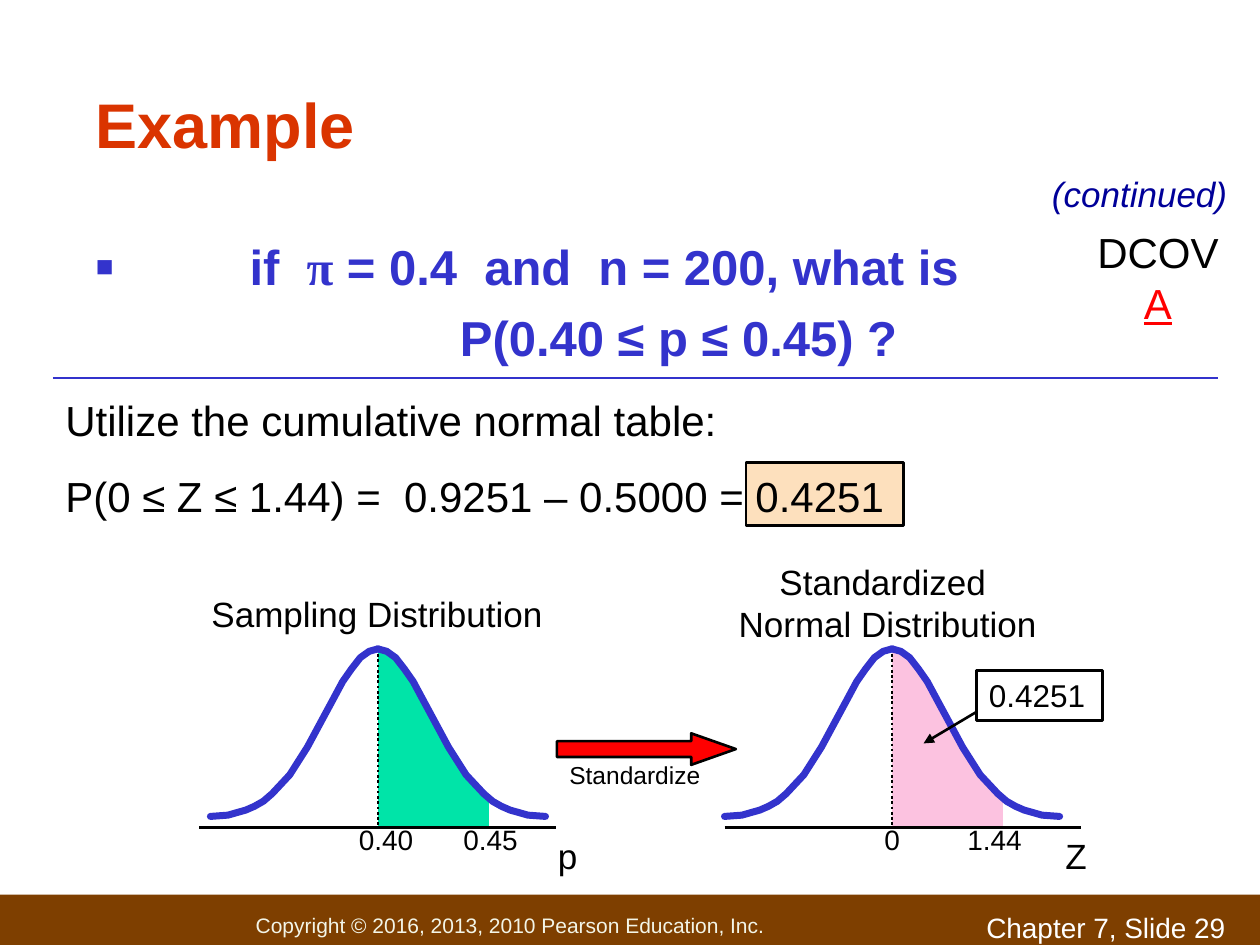
"""Build the slide that standardizes a sampling distribution of a proportion."""
from lxml import etree
from pptx import Presentation
from pptx.dml.color import RGBColor
from pptx.enum.dml import MSO_LINE
from pptx.enum.shapes import MSO_CONNECTOR, MSO_SHAPE
from pptx.enum.text import MSO_ANCHOR, MSO_AUTO_SIZE, PP_ALIGN
from pptx.oxml.ns import qn
from pptx.util import Inches, Pt

COLORS = {
    "black": "000000", "white": "FFFFFF", "cream": "F3F5E7", "brown": "7E3F00",
    "title": "DA3400", "blue": "3333CC", "navy": "000099", "red": "FF0000",
    "peach": "FDE0BD", "pink": "FCC2E0", "green": "00E4A8",
}
RGB = {name: RGBColor.from_string(value) for name, value in COLORS.items()}


def write(p, text, size=20, color="black", font="Arial", bold=False,
          italic=False, underline=False):
    r = p.add_run()
    r.text = text
    f = r.font
    f.size, f.name, f.color.rgb = Pt(size), font, RGB[color]
    f.bold, f.italic, f.underline = bold, italic, underline


def add_line(x1, y1, x2, y2, color="black", dash=None, arrow=False):
    line = shapes.add_connector(MSO_CONNECTOR.STRAIGHT, Inches(x1), Inches(y1),
                                Inches(x2), Inches(y2))
    line.line.color.rgb = RGB[color]
    line.line.width = Pt(1.5)
    if dash:
        line.line.dash_style = dash
    sp_pr = line._element.spPr
    if arrow:
        etree.SubElement(sp_pr.find(qn("a:ln")), qn("a:tailEnd"), type="triangle")
    etree.SubElement(sp_pr, qn("a:effectLst"))


prs = Presentation()
prs.slide_width, prs.slide_height = Inches(10), Inches(7.5)
s = prs.slides.add_slide(prs.slide_layouts[1])
shapes = s.shapes

title, body = shapes.title, s.placeholders[1]
for sp, box in ((title, (0.67, 0.25, 8.67, 1.08)), (body, (0.67, 1.83, 8.83, 1.74))):
    sp.left, sp.top, sp.width, sp.height = map(Inches, box)
    tf = sp.text_frame
    tf.auto_size = MSO_AUTO_SIZE.NONE
    tf.margin_left = tf.margin_right = Inches(0.09)
title.text_frame.vertical_anchor = MSO_ANCHOR.BOTTOM
p = title.text_frame.paragraphs[0]
p.alignment = PP_ALIGN.LEFT
write(p, "Example", size=36, color="title", bold=True)

tf = body.text_frame
question = tf.paragraphs[0]
p_pr = question._p.get_or_add_pPr()
p_pr.set("marL", str(Inches(1.22)))
p_pr.set("indent", str(-Inches(1.22)))
bullet_color = etree.SubElement(p_pr, qn("a:buClr"))
etree.SubElement(bullet_color, qn("a:srgbClr"), val=COLORS["blue"])
etree.SubElement(p_pr, qn("a:buSzPct"), val="60000")
etree.SubElement(p_pr, qn("a:buFont"), typeface="Arial")
etree.SubElement(p_pr, qn("a:buChar"), char="■")
question.space_before = Pt(0)
for text, font in (("if  ", "Arial"), ("π", "Times New Roman"),
                   (" = 0.4  and  n = 200, what is", "Arial")):
    write(question, text, size=28, color="blue", font=font, bold=True)
probability = tf.add_paragraph()
p_pr = probability._p.get_or_add_pPr()
p_pr.set("marL", str(Inches(2.89)))
p_pr.set("indent", "0")
etree.SubElement(p_pr, qn("a:buNone"))
probability.space_before = Pt(7)
write(probability, "P(0.40 ≤ p ≤ 0.45) ?", size=28, color="blue", bold=True)

blocks = {}
for name, kind, box, fill, outlined in (
    ("footer", MSO_SHAPE.RECTANGLE, (0, 7.1, 10, 0.49), "brown", False),
    ("answer", MSO_SHAPE.RECTANGLE, (5.92, 3.67, 1.25, 0.5), "peach", True),
    ("arrow", MSO_SHAPE.RIGHT_ARROW, (4.42, 5.82, 1.42, 0.25), "red", True),
    ("callout", MSO_SHAPE.RECTANGLE, (7.75, 5.32, 1, 0.4), None, True),
):
    sp = blocks[name] = shapes.add_shape(kind, *map(Inches, box))
    sp.shadow.inherit = False
    if fill:
        sp.fill.solid()
        sp.fill.fore_color.rgb = RGB[fill]
    else:
        sp.fill.background()
    if outlined:
        sp.line.color.rgb = RGB["black"]
        sp.line.width = Pt(1.5)
    else:
        sp.line.fill.background()
blocks["arrow"].adjustments[1] = 1.417

for name, text, size, color, margin, anchor in (
    ("footer", "Copyright © 2016, 2013, 2010 Pearson Education, Inc.", 12, "cream",
     2.03, MSO_ANCHOR.MIDDLE),
    ("callout", "0.4251", 18, "black", 0.1, MSO_ANCHOR.TOP),
):
    tf = blocks[name].text_frame
    tf.margin_left = Inches(margin)
    tf.vertical_anchor = anchor
    tf.paragraphs[0].alignment = PP_ALIGN.LEFT
    write(tf.paragraphs[0], text, size=size, color=color)

TOP, BASE = 5.15, 6.57
BELL = ((0, 0), (0.07, 0.02), (0.14, 0.07), (0.21, 0.16), (0.28, 0.26), (0.35, 0.39),
        (0.42, 0.52), (0.56, 0.78), (0.7, 1), (0.84, 1.15), (0.91, 1.21), (0.98, 1.25),
        (1.05, 1.28), (1.12, 1.3), (1.19, 1.32), (1.33, 1.33))
AREA = ((0, 0), (0.15, 0.08), (0.21, 0.16), (0.32, 0.33), (0.45, 0.55), (0.55, 0.76),
        (0.76, 1.08), (0.88, 1.17), (0.88, 1.42), (0, 1.42))
for center, axis_left, area_color in ((3, 1.58, "green"), (7.08, 5.75, "pink")):
    for outline, side, fill in ((AREA, 1, area_color), (BELL, 1, None), (BELL, -1, None)):
        points = [(Inches(center + side * x), Inches(TOP + y)) for x, y in outline]
        builder = shapes.build_freeform(*points[0])
        builder.add_line_segments(points[1:], close=bool(fill))
        sp = builder.convert_to_shape()
        sp.shadow.inherit = False
        if fill:
            sp.fill.solid()
            sp.fill.fore_color.rgb = RGB[fill]
            sp.line.fill.background()
            add_line(center, TOP, center, BASE, dash=MSO_LINE.ROUND_DOT)
        else:
            sp.fill.background()
            sp.line.color.rgb = RGB["blue"]
            sp.line.width = Pt(4)
            sp._element.spPr.find(qn("a:ln")).set("cap", "rnd")
    add_line(axis_left, BASE, axis_left + 2.83, BASE)

add_line(7.75, 5.65, 7.33, 5.9, arrow=True)
add_line(0.42, 3, 9.67, 3, color="blue")

LEFT, CENTER = PP_ALIGN.LEFT, PP_ALIGN.CENTER
for box, align, lines, style in (
    ((7.73, 7.18, 2.27, 0.26), LEFT, ["Chapter 7, Slide 29"], {"size": 16, "color": "white"}),
    ((8.33, 6.57, 0.42, 0.44), CENTER, ["Z"], {}),
    ((4.33, 6.57, 0.67, 0.44), LEFT, ["p"], {}),
    ((2.75, 6.48, 0.67, 0.37), LEFT, ["0.40"], {"size": 16}),
    ((3.58, 6.48, 0.75, 0.37), LEFT, ["0.45"], {"size": 16}),
    ((6.92, 6.48, 0.42, 0.37), LEFT, ["0"], {"size": 16}),
    ((7.58, 6.48, 0.67, 0.37), LEFT, ["1.44"], {"size": 16}),
    ((4.42, 5.98, 1.25, 0.34), LEFT, ["Standardize"], {"size": 14}),
    ((1.58, 4.65, 3, 0.43), LEFT, ["Sampling Distribution"], {}),
    ((5.42, 4.4, 3.25, 0.76), CENTER, ["Standardized ", "Normal Distribution"], {}),
    ((8.25, 1.32, 1.75, 0.44), LEFT, ["(continued)"], {"color": "navy", "italic": True}),
    ((0.42, 3.08, 9.08, 1.11), LEFT,
     ["Utilize the cumulative normal table:",
      "P(0 ≤ Z ≤ 1.44) =  0.9251 – 0.5000 = 0.4251"], {"size": 24}),
):
    tf = shapes.add_textbox(*map(Inches, box)).text_frame
    tf.word_wrap = True
    for i, text in enumerate(lines):
        p = tf.add_paragraph() if i else tf.paragraphs[0]
        p.alignment = align
        if i and align == LEFT:
            p.space_before = Pt(15)
        write(p, text, **style)

tf = shapes.add_textbox(Inches(8.5), Inches(1.75), Inches(1.38), Inches(0.5)).text_frame
tf.word_wrap = False
p = tf.paragraphs[0]
p.alignment = CENTER
write(p, "DCOV", size=24)
write(p, "A", size=24, color="red", underline=True)

prs.save("out.pptx")
